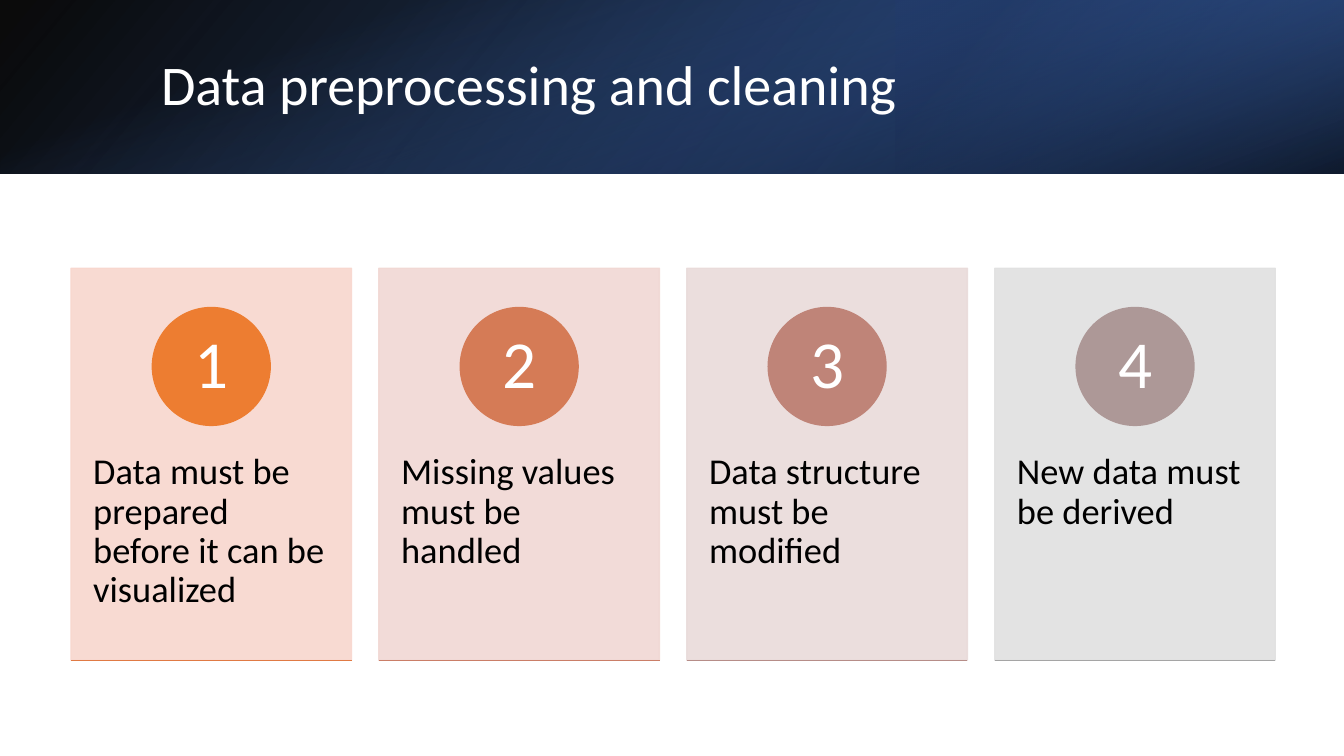
from lxml import etree
from pptx import Presentation
from pptx.dml.color import RGBColor
from pptx.enum.shapes import MSO_CONNECTOR as Connector, MSO_SHAPE as Shape
from pptx.enum.text import MSO_ANCHOR as Anchor, PP_ALIGN as Align
from pptx.oxml import parse_xml
from pptx.oxml.ns import nsdecls, qn
from pptx.util import Cm, Pt

BLACK = RGBColor(0x00, 0x00, 0x00)
WHITE = RGBColor(0xFF, 0xFF, 0xFF)
NAVY = RGBColor(0x20, 0x38, 0x64)
DEEP_BLUE = RGBColor(0x2F, 0x55, 0x97)
BLUE = RGBColor(0x44, 0x72, 0xC4)

PAGE_WIDTH, PAGE_HEIGHT = 33.87, 19.05
BANNER_HEIGHT = 4.38
CARD_LEFT, CARD_TOP, CARD_WIDTH, CARD_HEIGHT = 1.79, 6.76, 7.07, 9.88
CARD_STEP = 7.76
BADGE_SIZE = 2.97

STEPS = [
    ("Data must be prepared before it can be visualized",
     RGBColor(0xF8, 0xD7, 0xCE), RGBColor(0xED, 0x7D, 0x31), RGBColor(0xE0, 0x7A, 0x44)),
    ("Missing values must be handled",
     RGBColor(0xF1, 0xD8, 0xD4), RGBColor(0xD5, 0x7B, 0x56), RGBColor(0xCA, 0x7E, 0x67)),
    ("Data structure must be modified",
     RGBColor(0xE9, 0xDB, 0xDA), RGBColor(0xBF, 0x84, 0x78), RGBColor(0xB6, 0x8D, 0x88)),
    ("New data must be derived",
     RGBColor(0xE1, 0xE1, 0xE1), RGBColor(0xAD, 0x98, 0x97), RGBColor(0xA5, 0xA5, 0xA5)),
]


class SlideBuilder:
    font = "Calibri"
    spacing = 0.9

    def __init__(self, page):
        self.page = page
        self.shapes = page.shapes

    def set_text(self, shape, text, size, color, align, anchor, margins):
        frame = shape.text_frame
        frame.text = text
        frame.word_wrap = True
        frame.vertical_anchor = anchor
        side, edge = margins
        frame.margin_left = frame.margin_right = Cm(side)
        frame.margin_top = frame.margin_bottom = Cm(edge)
        para = frame.paragraphs[0]
        para.alignment = align
        para.line_spacing = self.spacing
        span = para.runs[0]
        span.font.name = self.font
        span.font.size = Pt(size)
        span.font.color.rgb = color

    def title(self, text, left, top, width, height):
        title = self.shapes.title
        title.left, title.top, title.width, title.height = map(Cm, (left, top, width, height))
        self.set_text(title, text, 40, WHITE, Align.LEFT, Anchor.MIDDLE, (0.25, 0.13))
        title.element.getparent().append(title.element)

    def shape(self, kind, left, top, width, height, color, opacity=100):
        shape = self.shapes.add_shape(kind, *map(Cm, (left, top, width, height)))
        shape.shadow.inherit = False
        shape.fill.solid()
        shape.fill.fore_color.rgb = color
        shape.line.color.rgb = color
        shape.line.width = Pt(1)
        if opacity < 100:
            for tint in shape.element.spPr.iter(qn("a:srgbClr")):
                etree.SubElement(tint, qn("a:alpha"), val=str(opacity * 1000))
        return shape

    def gradient(self, left, top, width, height, stops, angle, rotation=0, flip=False):
        band = self.shape(Shape.RECTANGLE, left, top, width, height, BLUE)
        band.line.fill.background()
        band.rotation = rotation
        properties = band.element.spPr
        if flip:
            properties.find(qn("a:xfrm")).set("flipH", "1")
        marks = "".join(
            f'<a:gs pos="{place * 1000}"><a:srgbClr val="{color}">'
            f'<a:alpha val="{opacity * 1000}"/></a:srgbClr></a:gs>'
            for place, color, opacity in stops)
        fill = parse_xml(
            f'<a:gradFill {nsdecls("a")} rotWithShape="1"><a:gsLst>{marks}</a:gsLst>'
            f'<a:lin ang="{angle * 60000}" scaled="0"/></a:gradFill>')
        properties.replace(properties.find(qn("a:solidFill")), fill)

    def textbox(self, text, left, top, width, height):
        box = self.shapes.add_textbox(*map(Cm, (left, top, width, height)))
        self.set_text(box, text, 26, BLACK, Align.LEFT, Anchor.TOP, (0.56, 0.91))

    def badge(self, number, left, top, color):
        circle = self.shape(Shape.OVAL, left, top, BADGE_SIZE, BADGE_SIZE, color)
        self.set_text(circle, str(number), 48, WHITE, Align.CENTER, Anchor.MIDDLE, (0.23, 0.03))

    def rule(self, left, top, width, color):
        line = self.shapes.add_connector(
            Connector.STRAIGHT, *map(Cm, (left, top, left + width, top)))
        line.line.color.rgb = color
        line.line.width = Pt(1)
        etree.SubElement(line._element.spPr, qn("a:effectLst"))

    def card(self, number, text, left, tint, badge_color, rule_color):
        self.shape(Shape.RECTANGLE, left, CARD_TOP, CARD_WIDTH, CARD_HEIGHT, tint, 90)
        self.textbox(text, left, 10.52, CARD_WIDTH, 5.92)
        self.badge(number, left + (CARD_WIDTH - BADGE_SIZE) / 2, 7.75, badge_color)
        self.rule(left, CARD_TOP + CARD_HEIGHT, CARD_WIDTH, rule_color)


def main():
    deck = Presentation()
    deck.slide_width, deck.slide_height = Cm(PAGE_WIDTH), Cm(PAGE_HEIGHT)
    builder = SlideBuilder(deck.slides.add_slide(deck.slide_layouts[5]))

    builder.gradient(0, 0, PAGE_WIDTH, BANNER_HEIGHT,
                     [(0, BLACK, 96), (100, DEEP_BLUE, 100)], 140, flip=True)
    builder.gradient(PAGE_WIDTH * 2 / 3, 0, PAGE_WIDTH / 3, BANNER_HEIGHT,
                     [(19, NAVY, 68), (100, BLUE, 79)], 320, rotation=180, flip=True)
    offset = (PAGE_WIDTH - BANNER_HEIGHT) / 2
    builder.gradient(offset, -offset, BANNER_HEIGHT, PAGE_WIDTH,
                     [(23, BLUE, 0), (99, BLACK, 74)], 340, rotation=90)
    builder.title("Data preprocessing and cleaning", 3.81, 0.97, 27.89, 2.44)

    for index, (text, *colors) in enumerate(STEPS):
        builder.card(index + 1, text, CARD_LEFT + index * CARD_STEP, *colors)

    deck.save("out.pptx")


if __name__ == "__main__":
    main()
